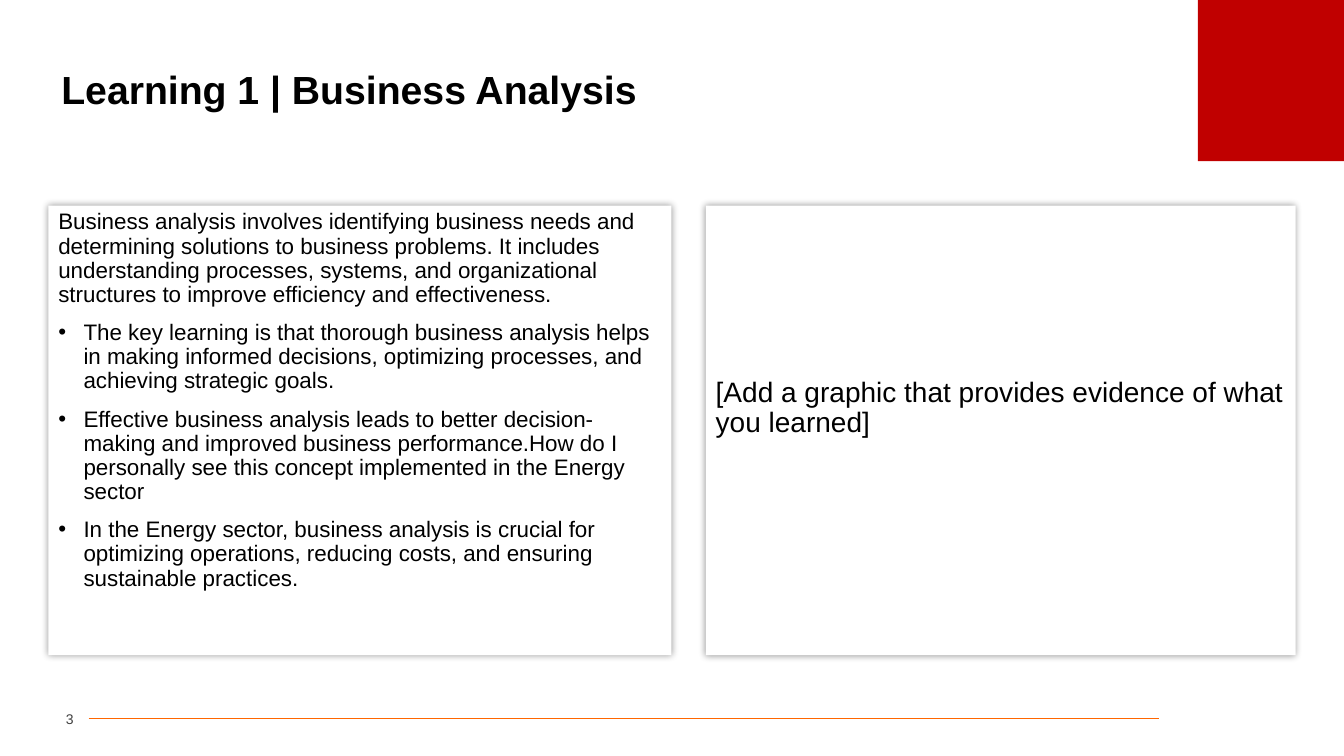
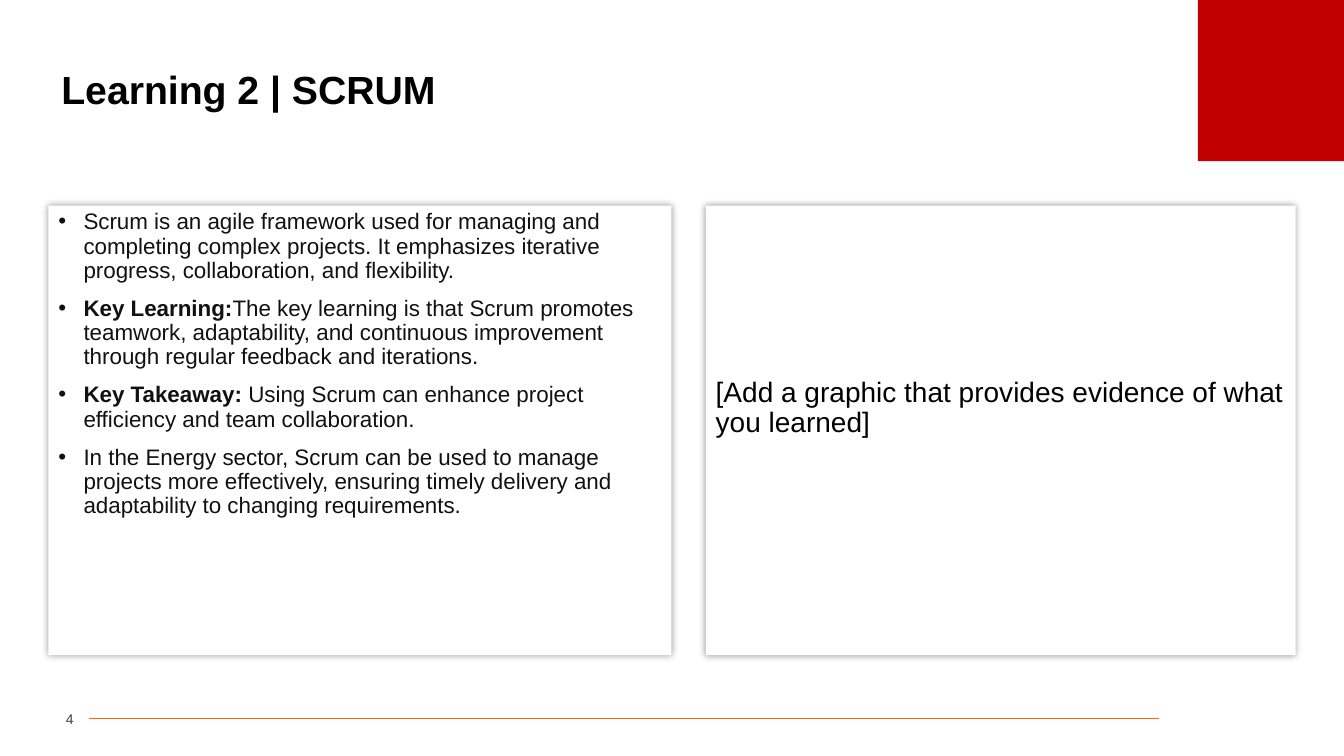
from dataclasses import dataclass

import pptx
import pptx.dml.color
import pptx.enum.shapes
import pptx.enum.text
import pptx.oxml
import pptx.oxml.ns
import pptx.oxml.xmlchemy
import pptx.util
import lxml.etree

Inches = pptx.util.Inches
Pt = pptx.util.Pt
Anchor = pptx.enum.text.MSO_ANCHOR
Align = pptx.enum.text.PP_ALIGN


@dataclass(frozen=True)
class Theme:
    font: str = "Arial"
    paper: str = "FFFFFF"
    ink: str = "000000"
    soft_ink: str = "111111"
    number: str = "404040"
    accent: str = "C00000"
    rule: str = "FF6600"
    title_size: int = 28
    prompt_size: int = 20
    body_size: int = 16
    number_size: int = 10


@dataclass(frozen=True)
class Area:
    left: float
    top: float
    width: float
    height: float

    def lengths(self) -> list:
        return [Inches(v) for v in (self.left, self.top, self.width, self.height)]


@dataclass(frozen=True)
class Style:
    size: int
    color: str
    bold: bool = False
    line_spacing: float = 0.9
    space_before: int = 0
    align: Align = Align.LEFT


@dataclass(frozen=True)
class Item:
    text: str
    lead: str = ""
    bullet: bool = True


@dataclass(frozen=True)
class Lesson:
    number: int
    title: str
    color: str
    items: tuple[Item, ...]


THEME = Theme()
PANEL_TOP, PANEL_HEIGHT = 2.04, 4.46
CORNER = Area(11.88, 0, 1.46, 1.6)
TITLE = Area(0.51, 0.52, 12.31, 0.78)
NUMBER = Area(0.33, 6.99, 0.4, 0.29)
NOTES_PANEL = Area(0.48, PANEL_TOP, 6.18, PANEL_HEIGHT)
GRAPHIC_PANEL = Area(7, PANEL_TOP, 5.85, PANEL_HEIGHT)
PROMPT = Item("[Add a graphic that provides evidence of what you learned]", bullet=False)

LESSONS = (
    Lesson(3, "Learning 1 | Business Analysis", THEME.ink, (
        Item("Business analysis involves identifying business needs and determining "
             "solutions to business problems. It includes understanding processes, "
             "systems, and organizational structures to improve efficiency and "
             "effectiveness.", bullet=False),
        Item("The key learning is that thorough business analysis helps in making "
             "informed decisions, optimizing processes, and achieving strategic goals."),
        Item("Effective business analysis leads to better decision-making and improved "
             "business performance.How do I personally see this concept implemented in "
             "the Energy sector"),
        Item("In the Energy sector, business analysis is crucial for optimizing "
             "operations, reducing costs, and ensuring sustainable practices."),
    )),
    Lesson(4, "Learning 2 | SCRUM", THEME.soft_ink, (
        Item("Scrum is an agile framework used for managing and completing complex "
             "projects. It emphasizes iterative progress, collaboration, and flexibility."),
        Item("The key learning is that Scrum promotes teamwork, adaptability, and "
             "continuous improvement through regular feedback and iterations.",
             lead="Key Learning:"),
        Item("Using Scrum can enhance project efficiency and team collaboration.",
             lead="Key Takeaway: "),
        Item("In the Energy sector, Scrum can be used to manage projects more "
             "effectively, ensuring timely delivery and adaptability to changing "
             "requirements."),
    )),
)


def rgb(value: str) -> pptx.dml.color.RGBColor:
    return pptx.dml.color.RGBColor.from_string(value)


def apply(target, values: dict) -> None:
    for name, value in values.items():
        setattr(target, name, value)


def add_node(parent, tag: str, **attributes: str):
    node = lxml.etree.SubElement(parent, pptx.oxml.ns.qn(tag))
    for name, value in attributes.items():
        node.set(name, value)
    return node


def add_bullet(para) -> None:
    properties = para._p.get_or_add_pPr()
    properties.set("marL", str(Inches(0.25)))
    properties.set("indent", str(Inches(-0.25)))
    add_node(properties, "a:buFont", typeface=THEME.font)
    add_node(properties, "a:buChar", char="•")


def write(box, items: tuple[Item, ...], style: Style, **frame_format) -> None:
    frame = box.text_frame
    apply(frame, {"word_wrap": True, **frame_format})
    for index, item in enumerate(items):
        para = frame.add_paragraph() if index else frame.paragraphs[0]
        apply(para, {"alignment": style.align, "line_spacing": style.line_spacing,
                     "space_before": Pt(style.space_before)})
        if item.bullet:
            add_bullet(para)
        for text, bold in ((item.lead, True), (item.text, style.bold)):
            if text:
                span = para.add_run()
                span.text = text
                apply(span.font, {"name": THEME.font, "size": Pt(style.size), "bold": bold})
                span.font.color.rgb = rgb(style.color)


def add_block(page, area: Area, color: str):
    block = page.shapes.add_shape(pptx.enum.shapes.MSO_SHAPE.RECTANGLE, *area.lengths())
    block.shadow.inherit = False
    block.fill.solid()
    block.fill.fore_color.rgb = rgb(color)
    block.line.fill.background()
    return block


def add_panel(page, area: Area):
    panel = add_block(page, area, THEME.paper)
    effects = panel._element.spPr.find(pptx.oxml.ns.qn("a:effectLst"))
    glow = add_node(effects, "a:outerShdw", blurRad=str(Pt(5)), dist="0", dir="0",
                    algn="ctr", rotWithShape="0")
    shade = add_node(glow, "a:srgbClr", val=THEME.ink)
    add_node(shade, "a:alpha", val="40000")
    return panel


def add_frame(page, lesson: Lesson) -> None:
    rule = page.shapes.add_connector(
        pptx.enum.shapes.MSO_CONNECTOR.STRAIGHT,
        Inches(0.88), Inches(7.13), Inches(11.5), Inches(7.13))
    rule.line.color.rgb = rgb(THEME.rule)
    rule.line.width = Pt(0.5)
    add_node(rule._element.spPr, "a:effectLst")
    add_block(page, CORNER, THEME.accent)
    title = page.shapes.add_textbox(*TITLE.lengths())
    write(title, (Item(lesson.title, bullet=False),),
          Style(THEME.title_size, THEME.ink, bold=True), vertical_anchor=Anchor.MIDDLE)
    number = page.shapes.add_textbox(*NUMBER.lengths())
    write(number, (Item(str(lesson.number), bullet=False),),
          Style(THEME.number_size, THEME.number, line_spacing=1.0, align=Align.RIGHT),
          vertical_anchor=Anchor.MIDDLE, margin_left=0, margin_right=0)


def add_lesson(deck, lesson: Lesson) -> None:
    page = deck.slides.add_slide(deck.slide_layouts[6])
    add_frame(page, lesson)
    write(add_panel(page, NOTES_PANEL), lesson.items,
          Style(THEME.body_size, lesson.color, space_before=10),
          vertical_anchor=Anchor.TOP)
    write(add_panel(page, GRAPHIC_PANEL), (PROMPT,),
          Style(THEME.prompt_size, THEME.ink, space_before=10),
          vertical_anchor=Anchor.MIDDLE, margin_bottom=Inches(0.48))


def main() -> None:
    deck = pptx.Presentation()
    apply(deck, {"slide_width": Inches(13.33), "slide_height": Inches(7.5)})
    for lesson in LESSONS:
        add_lesson(deck, lesson)
    deck.save("out.pptx")


if __name__ == "__main__":
    main()
